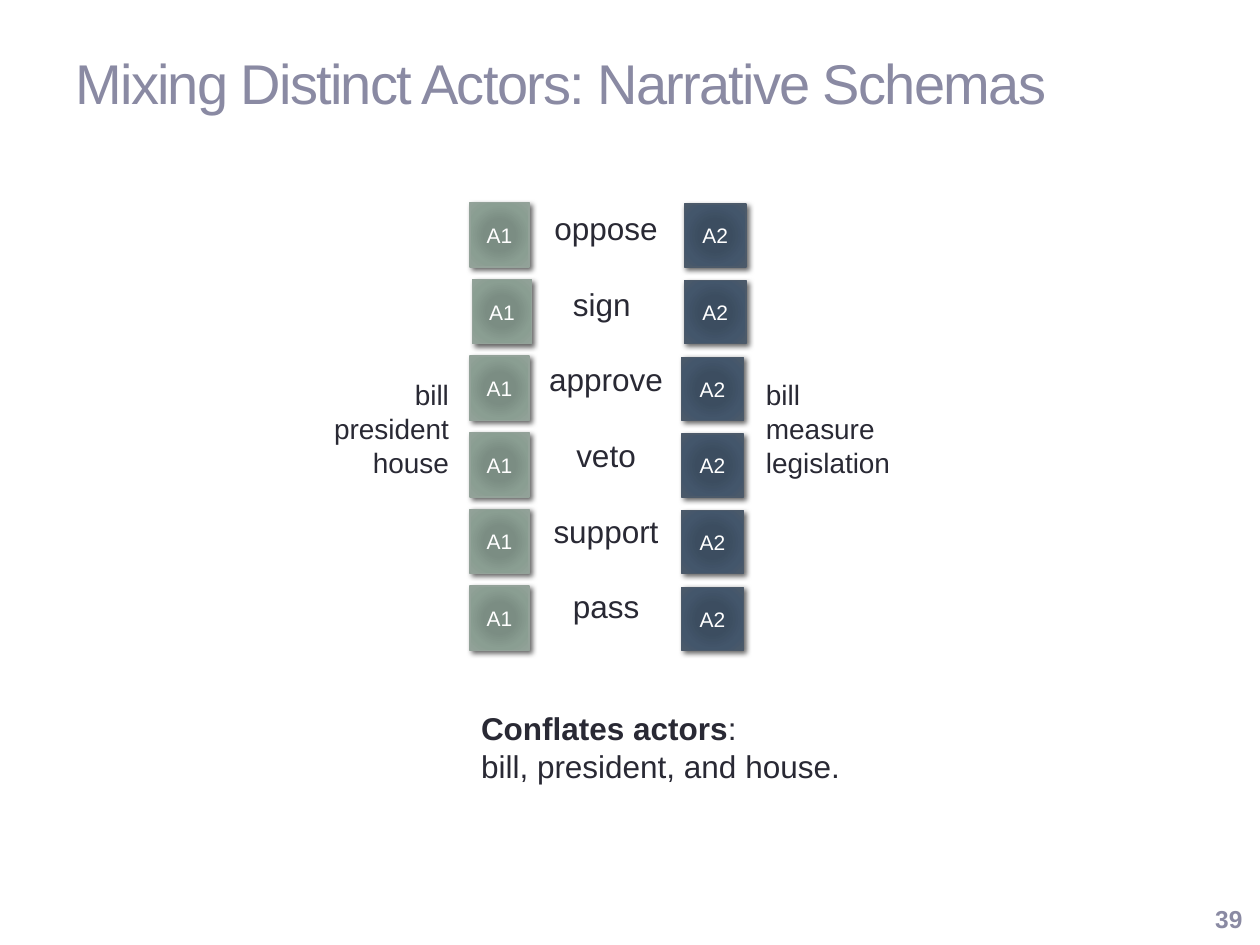
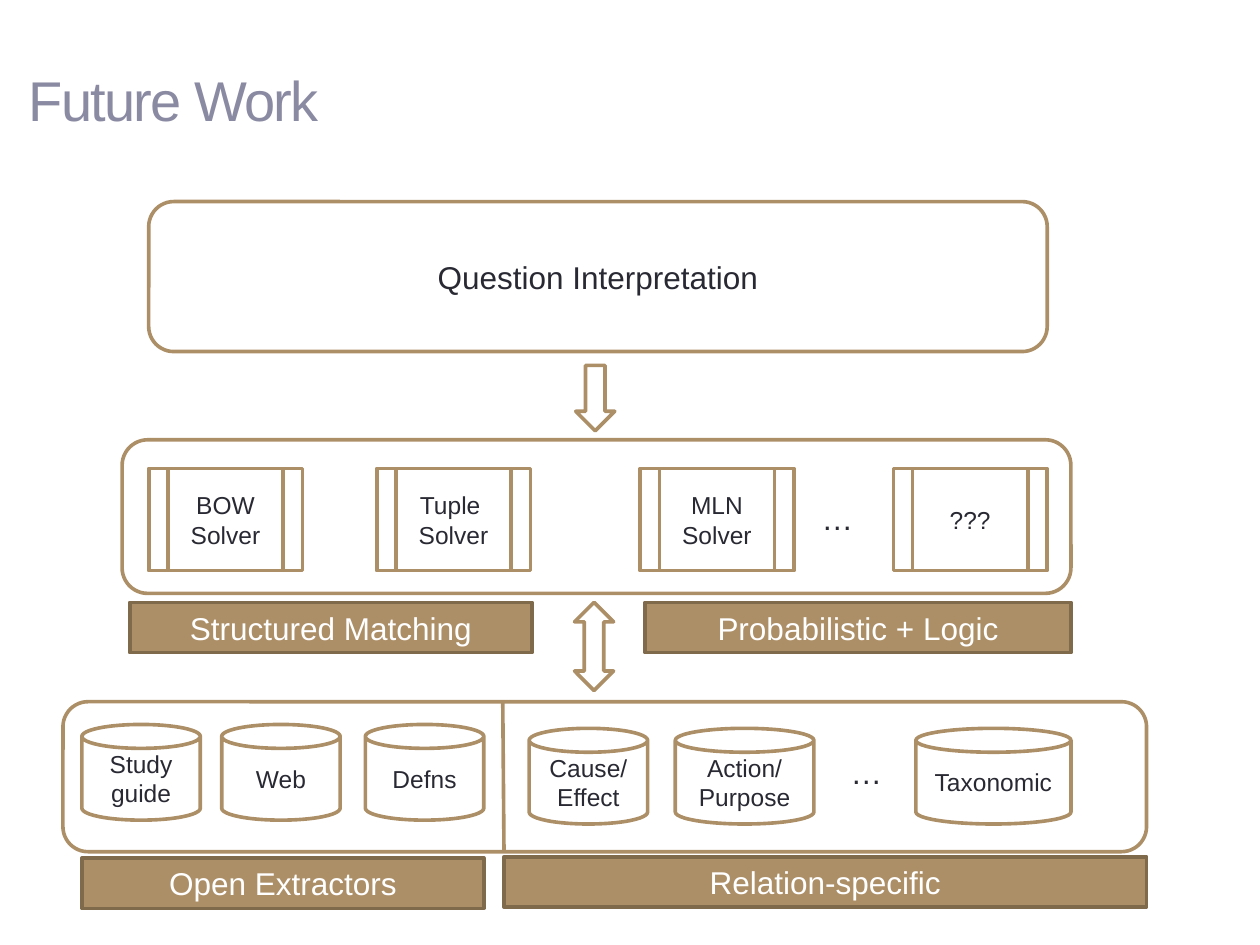
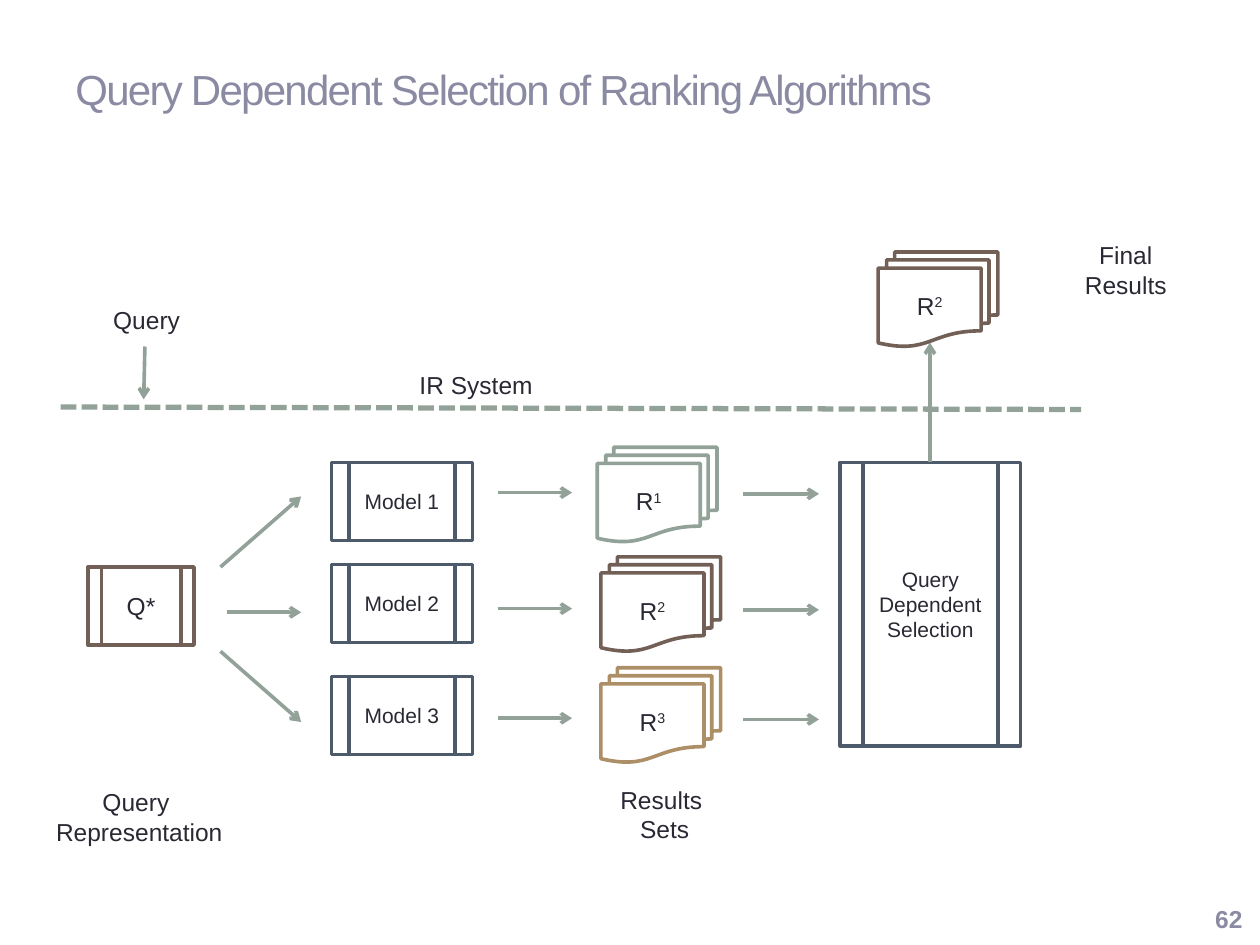
from dataclasses import dataclass, replace
from typing import NamedTuple

from lxml import etree
from pptx import Presentation
from pptx.dml.color import RGBColor
from pptx.enum.dml import MSO_LINE
from pptx.enum.shapes import MSO_CONNECTOR, MSO_SHAPE
from pptx.enum.text import MSO_ANCHOR, PP_ALIGN
from pptx.oxml import parse_xml
from pptx.oxml.ns import nsdecls, qn
from pptx.shapes.autoshape import Shape
from pptx.shapes.connector import Connector
from pptx.slide import Slide
from pptx.text.text import TextFrame
from pptx.util import Pt

LEFT, CENTER, RIGHT = PP_ALIGN.LEFT, PP_ALIGN.CENTER, PP_ALIGN.RIGHT
TOP, MIDDLE = MSO_ANCHOR.TOP, MSO_ANCHOR.MIDDLE
RECTANGLE, ROUNDED = MSO_SHAPE.RECTANGLE, MSO_SHAPE.ROUNDED_RECTANGLE
PROCESS = MSO_SHAPE.FLOWCHART_PREDEFINED_PROCESS
DOCUMENTS = MSO_SHAPE.FLOWCHART_MULTIDOCUMENT
CAN = MSO_SHAPE.CAN
DOWN_ARROW, UP_DOWN_ARROW = MSO_SHAPE.DOWN_ARROW, MSO_SHAPE.UP_DOWN_ARROW
STRAIGHT = MSO_CONNECTOR.STRAIGHT
SYS_DASH = MSO_LINE.SQUARE_DOT

FONT = "Arial"
WHITE = "FFFFFF"
INK = "292934"
LAVENDER = "8A8AA3"
TAN = "AD8F67"
DARK_TAN = "806A4C"
SAGE = "93A299"
NAVY = "4C5A6A"
BROWN = "726056"
STROKE = 2.08


class Box(NamedTuple):
    left: float
    top: float
    width: float
    height: float


class Point(NamedTuple):
    x: float
    y: float


@dataclass(frozen=True)
class TextStyle:
    size: float
    color: str = INK
    bold: bool = False
    align: PP_ALIGN = CENTER
    anchor: MSO_ANCHOR = MIDDLE
    gap: float = 0
    tracking: float = 0


@dataclass(frozen=True)
class Actor:
    label: str
    lefts: tuple[float, ...]
    top: float
    width: float
    height: float
    stops: tuple[tuple[int, str], ...]


class Node(NamedTuple):
    label: str
    box: Box


class ResultSet(NamedTuple):
    index: str
    left: float
    top: float
    color: str


TITLE = TextStyle(32, LAVENDER, align=LEFT, tracking=-1)
PAGE_NUMBER = TextStyle(14, LAVENDER, bold=True, align=RIGHT)
BODY = TextStyle(18)
NODE = TextStyle(14)
SMALL = TextStyle(12)
CAPTION = TextStyle(14, anchor=TOP)
BAND = TextStyle(18, WHITE)

ACTORS = (
    Actor("A1", (268.6, 270, 268.6, 268.6, 268.6, 268.6), 115.9, 33.8, 36.7,
          ((0, "7B8E82"), (34, "7B8D83"), (70, "8A9E92"), (100, SAGE))),
    Actor("A2", (391, 391, 389.5, 389.5, 389.5, 389.5), 116.6, 35.3, 36,
          ((0, "3B4D61"), (34, "3C4D60"), (70, "43566B"), (100, NAVY))),
)
ACTOR_PITCH = 43.8
VERBS = ("oppose", "sign ", "approve", "veto", "support", "pass")

SOLVERS = (("BOW\nSolver", 85), ("Tuple \nSolver", 215.3),
           ("MLN Solver", 365.8), ("???", 510.5))
SOURCES = (
    Node("Study\nguide", Box(46.8, 414, 67.7, 54.7)),
    Node("Web", Box(126.7, 414, 67.7, 54.7)),
    Node("Defns", Box(208.8, 414, 67.7, 54.7)),
    Node("Cause/Effect", Box(302.4, 416.2, 67.7, 54.7)),
    Node("Action/Purpose", Box(385.9, 416.2, 79.2, 54.7)),
    Node("Taxonomic", Box(523.4, 416.2, 88.6, 54.7)),
)
BANDS = (
    Node("Open Extractors", Box(46.8, 490.3, 229.7, 28.8)),
    Node("Relation-specific", Box(288, 489.6, 367.2, 28.8)),
    Node("Structured Matching", Box(74.2, 344.2, 229.7, 28.8)),
    Node("Probabilistic + Logic", Box(368.6, 344.2, 243.4, 28.8)),
)
ELLIPSES = (Box(439.2, 281.5, 78.5, 28.8), Box(455.8, 427, 78.5, 28.8))

MODEL_TOPS = (264.2, 322.6, 386.6)
RESULT_SETS = (
    ResultSet("1", 341.3, 255.6, SAGE),
    ResultSet("2", 343.4, 318.2, BROWN),
    ResultSet("3", 343.4, 381.6, TAN),
    ResultSet("2", 501.8, 144, BROWN),
)
CAPTIONS = (
    Node("Results \nSets", Box(270, 445, 219.6, 41)),
    Node("Query \nRepresentation", Box(-30.2, 446.4, 219.6, 41)),
    Node("Final\nResults", Box(533.5, 133.9, 219.6, 41)),
)
SIDE_CAPTIONS = (
    Node("Query", Box(57.6, 170.6, 62.6, 24.5)),
    Node("IR System", Box(232.6, 208, 144.7, 24.5)),
)
ROW_LEVELS = (281.5, 347.8, 410.4)
FLOWS = (
    (Point(82.8, 198), Point(82.1, 228.2)),
    (Point(126, 324), Point(172.1, 283.7)),
    (Point(129.6, 349.9), Point(172.1, 349.9)),
    (Point(126, 372.2), Point(172.1, 412.6)),
    (Point(531.4, 264.2), Point(531.4, 195.8)),
    *((Point(284.4, level), Point(326.9, level)) for level in ROW_LEVELS),
    *((Point(424.8, level + 0.7), Point(468, level + 0.7)) for level in ROW_LEVELS),
)


def rgb(color: str) -> RGBColor:
    return RGBColor.from_string(color)


def format_run(run, style: TextStyle) -> None:
    run.font.name = FONT
    run.font.size = Pt(style.size)
    run.font.bold = style.bold
    run.font.color.rgb = rgb(style.color)
    if style.tracking:
        run._r.get_or_add_rPr().set("spc", str(int(style.tracking * 100)))


def write(frame: TextFrame, text: str, style: TextStyle) -> None:
    frame.word_wrap = True
    frame.vertical_anchor = style.anchor
    frame.text = text
    for position, paragraph in enumerate(frame.paragraphs):
        paragraph.alignment = style.align
        if position and style.gap:
            paragraph.space_before = Pt(style.gap)
        for run in paragraph.runs:
            format_run(run, style)


def add_text(slide: Slide, text: str, box: Box, style: TextStyle) -> Shape:
    caption = slide.shapes.add_textbox(*map(Pt, box))
    write(caption.text_frame, text, style)
    return caption


def add_figure(slide: Slide, kind: MSO_SHAPE, box: Box, line: str, text: str = "",
               style: TextStyle = NODE, fill: str = WHITE) -> Shape:
    figure = slide.shapes.add_shape(kind, *map(Pt, box))
    figure.shadow.inherit = False
    figure.fill.solid()
    figure.fill.fore_color.rgb = rgb(fill)
    figure.line.color.rgb = rgb(line)
    figure.line.width = Pt(STROKE)
    if text:
        write(figure.text_frame, text, style)
    return figure


def add_line(slide: Slide, start: Point, end: Point, color: str,
             width: float = STROKE) -> Connector:
    line = slide.shapes.add_connector(STRAIGHT, *map(Pt, (*start, *end)))
    line.line.color.rgb = rgb(color)
    line.line.width = Pt(width)
    etree.SubElement(line._element.spPr, qn("a:effectLst"))
    return line


def add_arrow(slide: Slide, start: Point, end: Point) -> None:
    arrow = add_line(slide, start, end, SAGE)
    etree.SubElement(arrow.line._get_or_add_ln(), qn("a:tailEnd"), type="arrow")


def add_title(slide: Slide, text: str, box: Box, size: float = TITLE.size) -> None:
    add_text(slide, text, box, replace(TITLE, size=size))


def add_page_number(slide: Slide, number: int) -> None:
    add_text(slide, str(number), Box(674.6, 512, 42.5, 26), PAGE_NUMBER)


def add_glow_and_shadow(tile: Shape, stops: tuple[tuple[int, str], ...]) -> None:
    stop_xml = "".join(
        f'<a:gs pos="{place * 1000}"><a:srgbClr val="{color}"/></a:gs>'
        for place, color in stops
    )
    properties = tile._element.spPr
    properties.replace(properties.find(qn("a:solidFill")), parse_xml(
        f'<a:gradFill {nsdecls("a")} rotWithShape="1"><a:gsLst>{stop_xml}</a:gsLst>'
        '<a:path path="circle"><a:fillToRect l="100000" t="100000" r="100000" '
        'b="100000"/></a:path></a:gradFill>'
    ))
    properties.find(qn("a:effectLst")).append(parse_xml(
        f'<a:outerShdw {nsdecls("a")} blurRad="{Pt(3)}" dist="{Pt(2)}" dir="2700000" '
        'rotWithShape="0"><a:srgbClr val="000000"><a:alpha val="60000"/></a:srgbClr>'
        '</a:outerShdw>'
    ))


def add_actor_column(slide: Slide, actor: Actor) -> None:
    for row, left in enumerate(actor.lefts):
        box = Box(left, actor.top + row * ACTOR_PITCH, actor.width, actor.height)
        tile = add_figure(slide, RECTANGLE, box, actor.stops[-1][1], actor.label,
                          replace(SMALL, color=WHITE))
        tile.line.width = Pt(0.75)
        add_glow_and_shadow(tile, actor.stops)


def add_result_set(slide: Slide, results: ResultSet) -> None:
    box = Box(results.left, results.top, 68.4, 54)
    stack = add_figure(slide, DOCUMENTS, box, results.color, "R")
    index = stack.text_frame.paragraphs[0].add_run()
    index.text = results.index
    format_run(index, NODE)
    index._r.get_or_add_rPr().set("baseline", "30000")


def build_schemas(slide: Slide) -> None:
    add_title(slide, "Mixing Distinct Actors: Narrative Schemas", Box(36, 8, 648, 77.8))
    add_page_number(slide, 39)
    add_text(slide, "\n".join(VERBS), Box(294.5, 116, 103.7, 269),
             replace(BODY, anchor=TOP, gap=21.6))
    for actor in ACTORS:
        add_actor_column(slide, actor)
    add_text(slide, "bill\npresident\nhouse", Box(175, 212.4, 88.6, 65.5),
             TextStyle(16, align=RIGHT, anchor=TOP))
    add_text(slide, "bill\nmeasure\nlegislation", Box(430.6, 212.4, 87, 65.5),
             TextStyle(16, align=LEFT, anchor=TOP))
    remark_style = replace(BODY, align=LEFT, anchor=TOP)
    remark = add_figure(slide, RECTANGLE, Box(267.8, 401.8, 406, 89.3), WHITE,
                        "Conflates actors\nbill, president, and house.", remark_style)
    remark.line.fill.background()
    heading = remark.text_frame.paragraphs[0]
    heading.runs[0].font.bold = True
    colon = heading.add_run()
    colon.text = ":"
    format_run(colon, remark_style)


def build_future_work(slide: Slide) -> None:
    add_figure(slide, ROUNDED, Box(69.8, 251.3, 542.2, 87.8), TAN)
    for label, left in SOLVERS:
        add_figure(slide, PROCESS, Box(left, 267.8, 87.8, 58.3), TAN, label)
    add_figure(slide, ROUNDED, Box(85, 115.2, 513.4, 85.7), TAN,
               "Question Interpretation", BODY)
    add_figure(slide, ROUNDED, Box(36, 401, 619.2, 85.7), TAN)
    for source in SOURCES:
        add_figure(slide, CAN, source.box, TAN, source.label)
    for box in ELLIPSES:
        add_text(slide, "…", box, replace(BODY, anchor=TOP))
    add_figure(slide, DOWN_ARROW, Box(329, 208.8, 22.3, 37.4), TAN)
    add_figure(slide, UP_DOWN_ARROW, Box(328.3, 344.2, 22.3, 50.4), TAN)
    add_title(slide, "Future Work", Box(9.4, 24.5, 688.3, 64))
    for band in BANDS:
        add_figure(slide, RECTANGLE, band.box, DARK_TAN, band.label, BAND, TAN)
    add_line(slide, Point(287.3, 401), Point(288, 486.7), TAN)


def build_ranking(slide: Slide) -> None:
    add_page_number(slide, 62)
    add_title(slide, "Query Dependent Selection of Ranking Algorithms",
              Box(36, 5.8, 648, 90), 24)
    for number, top in enumerate(MODEL_TOPS, 1):
        add_figure(slide, PROCESS, Box(189.4, top, 80.6, 44.6), NAVY,
                   f"Model {number}", SMALL)
    add_figure(slide, PROCESS, Box(50.4, 324, 60.5, 44.6), BROWN, "Q*")
    add_figure(slide, PROCESS, Box(480.2, 264.2, 103, 162), NAVY,
               "Query\nDependent\nSelection", SMALL)
    for caption in CAPTIONS:
        add_text(slide, caption.label, caption.box, CAPTION)
    for caption in SIDE_CAPTIONS:
        add_text(slide, caption.label, caption.box, replace(CAPTION, align=LEFT))
    for start, end in FLOWS:
        add_arrow(slide, start, end)
    for results in RESULT_SETS:
        add_result_set(slide, results)
    boundary = add_line(slide, Point(34.6, 232.6), Point(617.8, 234), SAGE, 3)
    boundary.line.dash_style = SYS_DASH


def main() -> None:
    deck = Presentation()
    deck.slide_width, deck.slide_height = Pt(720), Pt(540)
    for build in (build_schemas, build_future_work, build_ranking):
        build(deck.slides.add_slide(deck.slide_layouts[6]))
    deck.save("out.pptx")


if __name__ == "__main__":
    main()
